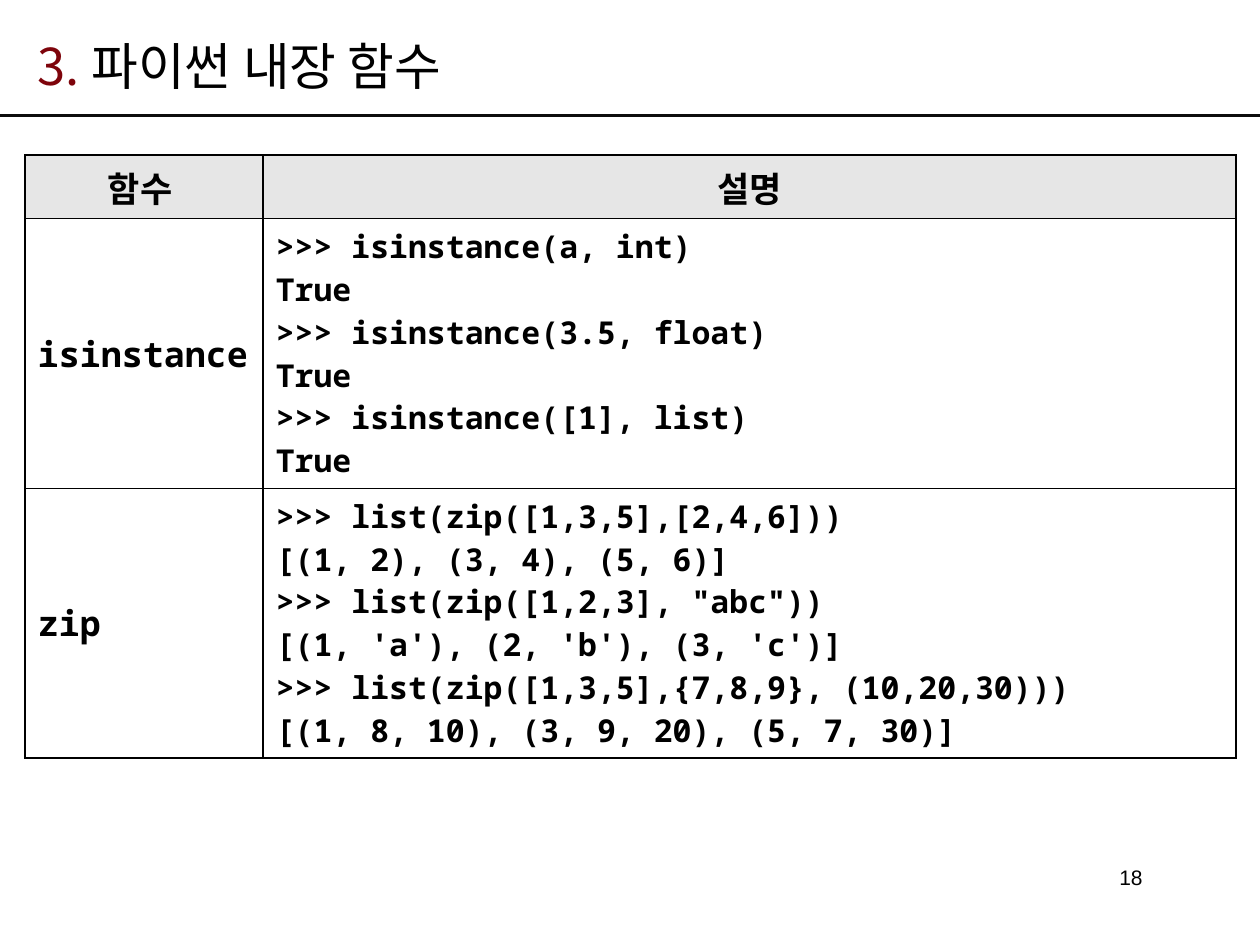
import pptx
import pptx.util
import pptx.dml.color
import pptx.enum.shapes
import pptx.enum.text
import pptx.oxml
import pptx.oxml.ns

Pt = pptx.util.Pt
ALIGN = pptx.enum.text.PP_ALIGN
MIDDLE = pptx.enum.text.MSO_ANCHOR.MIDDLE

# Content
TITLE = [("3. ", "accent"), ("파이썬 내장 함수", "text")]
PAGE_NUMBER = "18"
HEADERS = ["함수 ", "설명"]
EXAMPLES = [
    ("isinstance", [
        ">>> isinstance(a, int)",
        "True",
        ">>> isinstance(3.5, float)",
        "True",
        ">>> isinstance([1], list)",
        "True",
    ]),
    ("zip", [
        ">>> list(zip([1,3,5],[2,4,6]))",
        "[(1, 2), (3, 4), (5, 6)]",
        ">>> list(zip([1,2,3], \"abc\"))",
        "[(1, 'a'), (2, 'b'), (3, 'c')]",
        ">>> list(zip([1,3,5],{7,8,9}, (10,20,30)))",
        "[(1, 8, 10), (3, 9, 20), (5, 7, 30)]",
    ]),
]

# Look
COLORS = {"accent": "7E040B", "text": "000000", "rule": "0D0D0D",
          "header": "E6E6E6", "body": "FFFFFF"}
KOREAN, MONO = "Noto Sans CJK KR", "Noto Sans Mono"
FORMATS = {
    "title": {"name": KOREAN, "size": Pt(29), "bold": False},
    "header": {"name": KOREAN, "size": Pt(20), "bold": True},
    "function": {"name": MONO, "size": Pt(20), "bold": True},
    "code": {"name": MONO, "size": Pt(18), "bold": True},
    "page": {"name": "Arial", "size": Pt(12), "bold": False},
}
COLUMN_WIDTHS = [136, 556]
ROW_HEIGHTS = [33, 149, 147]


def rgb(color):
    return pptx.dml.color.RGBColor.from_string(COLORS[color])


def add_run(paragraph, text, style, color="text"):
    run = paragraph.add_run()
    run.text = text
    for attribute, value in FORMATS[style].items():
        setattr(run.font, attribute, value)
    run.font.color.rgb = rgb(color)
    east_asian = pptx.oxml.parse_xml(
        f'<a:ea {pptx.oxml.ns.nsdecls("a")} typeface="{FORMATS[style]["name"]}"/>')
    run.font._element.find(pptx.oxml.ns.qn("a:latin")).addnext(east_asian)


def place(shape, left, top, width, height):
    box = {"left": left, "top": top, "width": width, "height": height}
    for attribute, value in box.items():
        setattr(shape, attribute, Pt(value))


def fill_cell(cell, lines, style, alignment, fill):
    cell.vertical_anchor = MIDDLE
    for index, line in enumerate(lines):
        frame = cell.text_frame
        paragraph = frame.add_paragraph() if index else frame.paragraphs[0]
        paragraph.alignment = alignment
        add_run(paragraph, line, style)
    properties = cell._tc.get_or_add_tcPr()
    for side in ("lnL", "lnR", "lnT", "lnB"):
        properties.append(pptx.oxml.parse_xml(
            f'<a:{side} {pptx.oxml.ns.nsdecls("a")} w="{int(Pt(1))}"><a:solidFill>'
            f'<a:srgbClr val="{COLORS["text"]}"/></a:solidFill></a:{side}>'))
    cell.fill.solid()
    cell.fill.fore_color.rgb = rgb(fill)


presentation = pptx.Presentation()
presentation.slide_width, presentation.slide_height = Pt(720), Pt(540)
slide = presentation.slides.add_slide(presentation.slide_layouts[5])

# Rule under the title
rule = slide.shapes.add_connector(
    pptx.enum.shapes.MSO_CONNECTOR.STRAIGHT, Pt(0), Pt(66), Pt(720), Pt(66))
rule.line.color.rgb = rgb("rule")
rule.line.width = Pt(1.5)
rule._element.spPr.append(
    pptx.oxml.parse_xml(f'<a:effectLst {pptx.oxml.ns.nsdecls("a")}/>'))

# Title
title = slide.shapes.title
place(title, 14.4, 15, 607, 44)
title.text_frame.vertical_anchor = MIDDLE
title.text_frame.auto_size = pptx.enum.text.MSO_AUTO_SIZE.NONE
heading = title.text_frame.paragraphs[0]
heading.alignment = ALIGN.LEFT
for text, color in TITLE:
    add_run(heading, text, "title", color)

# Function table
table = slide.shapes.add_table(
    len(ROW_HEIGHTS), len(COLUMN_WIDTHS), Pt(14.4), Pt(88.6),
    Pt(sum(COLUMN_WIDTHS)), Pt(sum(ROW_HEIGHTS))).table
for column, width in zip(table.columns, COLUMN_WIDTHS):
    column.width = Pt(width)
for row, height in zip(table.rows, ROW_HEIGHTS):
    row.height = Pt(height)
for index, header in enumerate(HEADERS):
    fill_cell(table.cell(0, index), [header], "header", ALIGN.CENTER, "header")
for index, (function, code) in enumerate(EXAMPLES, start=1):
    fill_cell(table.cell(index, 0), [function], "function", ALIGN.LEFT, "body")
    fill_cell(table.cell(index, 1), code, "code", ALIGN.LEFT, "body")

# Page number
page = slide.shapes.add_textbox(Pt(496), Pt(491), Pt(164), Pt(20))
page.text_frame.word_wrap = True
page.text_frame.vertical_anchor = MIDDLE
page.text_frame.paragraphs[0].alignment = ALIGN.RIGHT
add_run(page.text_frame.paragraphs[0], PAGE_NUMBER, "page")

presentation.save("out.pptx")
